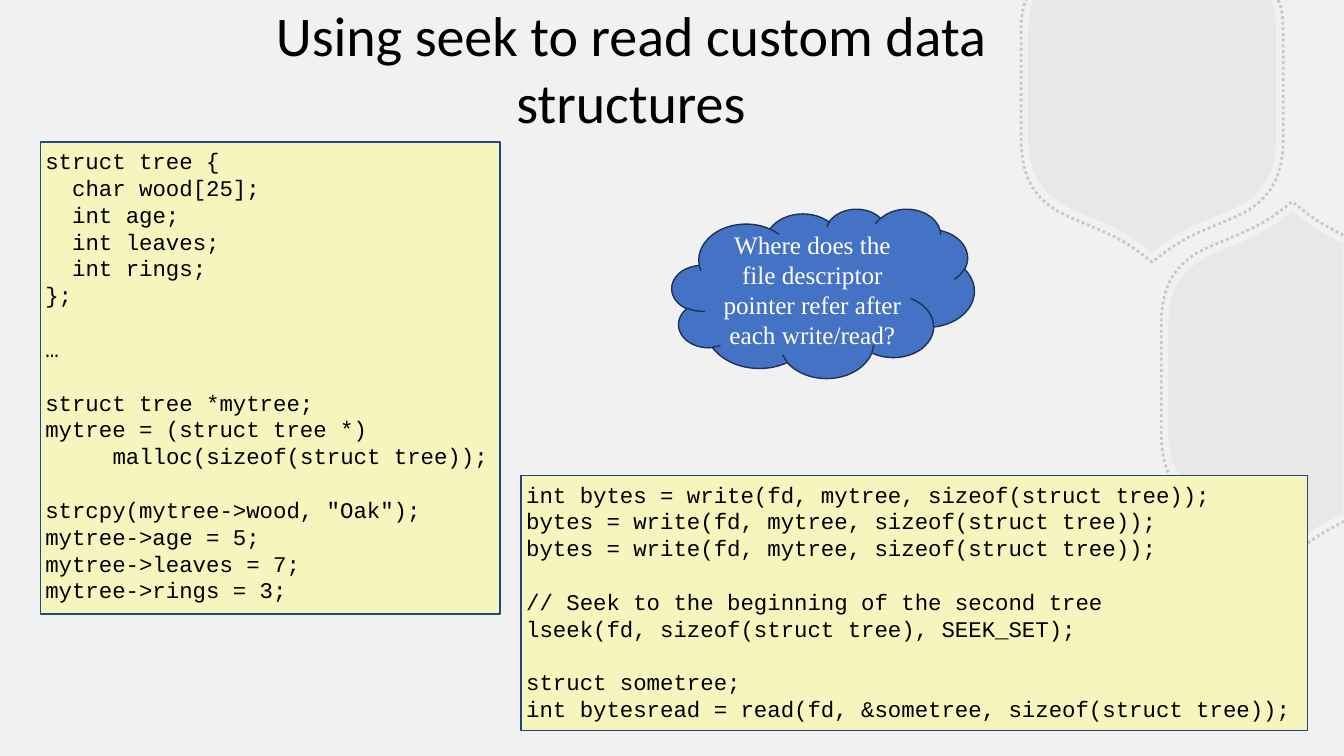
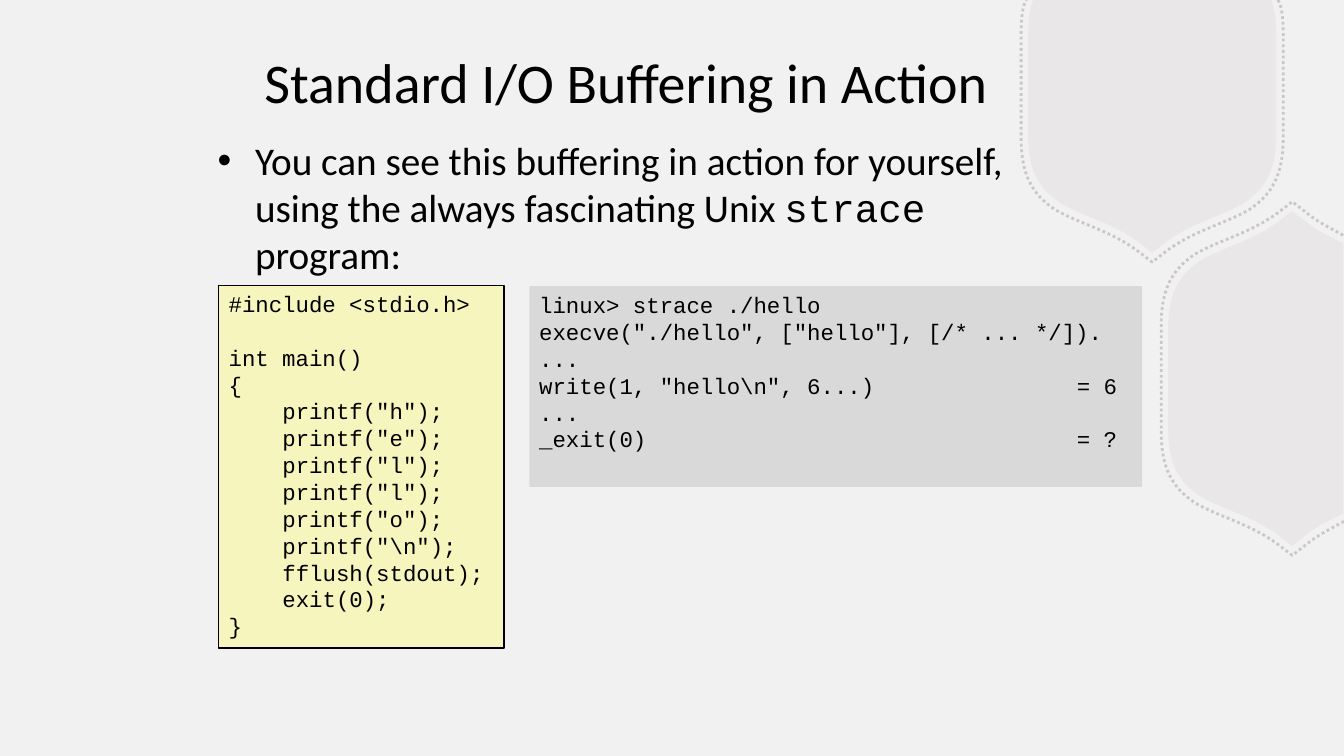
from lxml.etree import SubElement
from pptx import Presentation
from pptx.dml.color import RGBColor
from pptx.enum.dml import MSO_LINE
from pptx.enum.shapes import MSO_SHAPE
from pptx.enum.text import MSO_ANCHOR, MSO_AUTO_SIZE, PP_ALIGN
from pptx.oxml.ns import qn
from pptx.util import Inches, Pt

RECTANGLE, CLOUD = MSO_SHAPE.RECTANGLE, MSO_SHAPE.CLOUD
TOP, MIDDLE = MSO_ANCHOR.TOP, MSO_ANCHOR.MIDDLE
LEFT, CENTER = PP_ALIGN.LEFT, PP_ALIGN.CENTER
DOTTED = MSO_LINE.ROUND_DOT
NO_AUTOFIT = MSO_AUTO_SIZE.NONE

TITLE_ONLY, TITLE_AND_BODY = 5, 1  # layouts of the default template

# Half outlines of the hexagons in half widths, from the slide's edge on:
# one point makes a line, three points make a curve
UPPER_HALF = [
    [(0.96, -0.69)],
    [(0.99, -0.61), (1, -0.5), (1, -0.4)],
    [(1, 0.4)],
    [(1, 0.68), (0.92, 0.83), (0.74, 0.95)],
    [(0.55, 1.06), (0.31, 1.11), (0.09, 1.28)],
    [(0, 1.35)],
]
LOWER_HALF = [
    [(0.41, 1.09)],
    [(0.25, 1.17)],
    [(0.2, 1.2), (0.15, 1.23), (0.09, 1.28)],
    [(0, 1.35)],
    [(-0.09, 1.28)],
    [(-0.31, 1.11), (-0.55, 1.06), (-0.74, 0.95)],
    [(-0.92, 0.83), (-1, 0.68), (-1, 0.4)],
]
# Center in percent of the slide, half outline, signs of its mirror image
HEXAGONS = [
    ((85.73, 11.27), UPPER_HALF, (-1, 1)),
    ((96.15, 50.07), LOWER_HALF, (1, -1)),
]

TREE_CODE = """struct tree {
  char wood[25];
  int age;
  int leaves;
  int rings;
};

…

struct tree *mytree;
mytree = (struct tree *)
     malloc(sizeof(struct tree));

strcpy(mytree->wood, "Oak");
mytree->age = 5;
mytree->leaves = 7;
mytree->rings = 3;"""

SEEK_CODE = """int bytes = write(fd, mytree, sizeof(struct tree));
bytes = write(fd, mytree, sizeof(struct tree));
bytes = write(fd, mytree, sizeof(struct tree));

// Seek to the beginning of the second tree
lseek(fd, sizeof(struct tree), SEEK_SET);

struct sometree;
int bytesread = read(fd, &sometree, sizeof(struct tree));"""

HELLO_CODE = r"""#include <stdio.h>

int main()
{
    printf("h");
    printf("e");
    printf("l");
    printf("l");
    printf("o");
    printf("\n");
    fflush(stdout);
    exit(0);
}"""

# A bar marks the jump to the result column
STRACE_OUTPUT = r"""linux> strace ./hello
execve("./hello", ["hello"], [/* ... */]).
...
write(1, "hello\n", 6...)|= 6
...
_exit(0)|= ?"""


def color(hex_string):
    return RGBColor.from_string(hex_string)


def mirrored_outline(half, signs):
    """Points of the whole outline and the number of points per segment."""
    points = [point for segment in half for point in segment]
    lengths = [len(segment) for segment in half[1:]]
    mirror = [(x * signs[0], y * signs[1]) for x, y in reversed(points)]
    if mirror[0] == points[-1]:
        return points + mirror[1:], lengths + lengths[::-1]
    return points + mirror, lengths + [1] + lengths[::-1]


def bend(shape, lengths):
    """Join each three lines that stand for a curve into one curve."""
    lines = iter(list(shape.element.spPr.iter(qn("a:lnTo"))))
    for length in lengths:
        segment = [next(lines) for _ in range(length)]
        if length == 3:
            first = segment[0]
            outline = first.getparent()
            curve = SubElement(outline, qn("a:cubicBezTo"))
            first.addprevious(curve)
            for line in segment:
                curve.append(line[0])
                outline.remove(line)


class Deck:
    """Style of the presentation and the slide being filled.

    Places are (left, top, width, height) in percent of the slide's size.
    """

    HEADING_FONT, CODE_FONT, NOTE_FONT = "Calibri", "Courier New", "Times New Roman"
    TITLE_SIZE, BODY_SIZE, NOTE_SIZE, CODE_SIZE = 40, 28, 18, 16
    CODE_LINE, CODE_CHARACTER = 19.1, 9.6  # points
    RESULT_COLUMN = 40  # characters
    BULLET_INDENT = Inches(0.37)
    BACKGROUND, TEXT, HEXAGON = "F2F1F1", "000000", "B8B2B2"
    CODE_FILL, OUTPUT_FILL, CODE_BORDER = "F6F5BD", "D9D9D9", "1F497D"
    CLOUD_FILL, CLOUD_LINE, CLOUD_TEXT = "4472C4", "1E3256", "FFFFFF"
    FILLED_RADIUS, DOTTED_RADIUS = 9.23, 9.75  # half widths

    def __init__(self):
        self.presentation = Presentation()
        self.presentation.slide_height = Inches(7.5)
        self.presentation.slide_width = Inches(7.5) * 16 // 9
        self.slide = None
        fill = self.presentation.slide_master.background.fill
        fill.solid()
        fill.fore_color.rgb = color(self.BACKGROUND)

    def across(self, percent):
        return round(self.presentation.slide_width * percent / 100)

    def down(self, percent):
        return round(self.presentation.slide_height * percent / 100)

    def box(self, place):
        left, top, width, height = place
        return self.across(left), self.down(top), self.across(width), self.down(height)

    def add_slide(self, layout):
        self.slide = self.presentation.slides.add_slide(
            self.presentation.slide_layouts[layout])

    # Shared background
    def decorate_master(self):
        """Draw the hexagons and move them to the slide master."""
        tree = self.presentation.slide_master.element.cSld.spTree
        for radius, filled in ((self.FILLED_RADIUS, True), (self.DOTTED_RADIUS, False)):
            for center, half, signs in HEXAGONS:
                shape = self.hexagon(center, half, signs, radius, filled)
                shape.element.nvSpPr.cNvPr.set("id", str(100 + len(tree)))
                tree.append(shape.element)

    def hexagon(self, center, half, signs, radius, filled):
        outline, lengths = mirrored_outline(half, signs)
        unit = self.across(radius)
        points = [(min(self.across(center[0]) + round(x * unit), self.presentation.slide_width),
                   max(self.down(center[1]) + round(y * unit), 0)) for x, y in outline]
        builder = self.slide.shapes.build_freeform(*points[0])
        builder.add_line_segments(points[1:], close=filled)
        shape = builder.convert_to_shape()
        bend(shape, lengths)
        self.paint(shape, self.HEXAGON if filled else None,
                   None if filled else self.HEXAGON, 2)
        if not filled:
            shape.line.dash_style = DOTTED
        for shade in shape.element.spPr.iter(qn("a:srgbClr")):
            SubElement(shade, qn("a:alpha"), val="15000" if filled else "65000")
        return shape

    # Formatting
    def paint(self, shape, fill, line, line_width=1):
        shape.shadow.inherit = False
        if fill:
            shape.fill.solid()
            shape.fill.fore_color.rgb = color(fill)
        else:
            shape.fill.background()
        if line:
            shape.line.color.rgb = color(line)
            shape.line.width = Pt(line_width)
        else:
            shape.line.fill.background()

    def frame(self, shape, anchor, side_inset=0.1):
        frame = shape.text_frame
        frame.auto_size = NO_AUTOFIT
        frame.word_wrap = True
        frame.vertical_anchor = anchor
        frame.margin_left = frame.margin_right = Inches(side_inset)
        frame.margin_top = frame.margin_bottom = Inches(0.05)
        return frame

    def add_run(self, paragraph, text, font, size, text_color=TEXT):
        run = paragraph.add_run()
        run.text = text
        run.font.name = font
        run.font.size = Pt(size)
        run.font.color.rgb = color(text_color)

    # Elements
    def title(self, place, text):
        shape = self.slide.shapes.title
        shape.left, shape.top, shape.width, shape.height = self.box(place)
        paragraph = self.frame(shape, MIDDLE).paragraphs[0]
        paragraph.alignment = CENTER
        self.add_run(paragraph, text, self.HEADING_FONT, self.TITLE_SIZE)

    def body(self, place, runs):
        """One bulleted paragraph of (text, font) runs."""
        shape = self.slide.placeholders[1]
        shape.left, shape.top, shape.width, shape.height = self.box(place)
        paragraph = self.frame(shape, TOP).paragraphs[0]
        paragraph.space_before = Pt(7)
        properties = paragraph._p.get_or_add_pPr()
        properties.set("marL", str(self.BULLET_INDENT))
        properties.set("indent", str(-self.BULLET_INDENT))
        for text, font in runs:
            self.add_run(paragraph, text, font, self.BODY_SIZE)

    def code(self, place, text, fill=CODE_FILL, line=None, side_inset=0.1):
        """Listing whose indents, gaps and columns are paragraph settings."""
        shape = self.slide.shapes.add_shape(RECTANGLE, *self.box(place))
        self.paint(shape, fill, line)
        frame = self.frame(shape, TOP, side_inset)
        paragraph, gap = frame.paragraphs[0], 0
        for number, code_line in enumerate(text.splitlines()):
            if not code_line:
                gap += self.CODE_LINE
                continue
            if number:
                paragraph = frame.add_paragraph()
            paragraph.alignment = LEFT
            paragraph.space_before = Pt(gap)
            gap = 0
            words = code_line.lstrip()
            indent = len(code_line) - len(words)
            properties = paragraph._p.get_or_add_pPr()
            properties.set("marL", str(Pt(indent * self.CODE_CHARACTER)))
            if "|" in words:
                stops = SubElement(properties, qn("a:tabLst"))
                position = Pt(self.RESULT_COLUMN * self.CODE_CHARACTER)
                SubElement(stops, qn("a:tab"), pos=str(position), algn="l")
            self.add_run(paragraph, words.replace("|", "\t"), self.CODE_FONT, self.CODE_SIZE)

    def cloud(self, place, text):
        shape = self.slide.shapes.add_shape(CLOUD, *self.box(place))
        self.paint(shape, self.CLOUD_FILL, self.CLOUD_LINE)
        paragraph = self.frame(shape, MIDDLE).paragraphs[0]
        paragraph.alignment = CENTER
        self.add_run(paragraph, text, self.NOTE_FONT, self.NOTE_SIZE, self.CLOUD_TEXT)


def main():
    deck = Deck()

    # Slide 1: seeking in a file of structures
    deck.add_slide(TITLE_ONLY)
    deck.decorate_master()
    deck.title((15.83, 3.45, 62.25, 11.07), "Using seek to read custom data structures")
    deck.code((38.78, 62.93, 58.5, 33.73), SEEK_CODE, line=deck.CODE_BORDER, side_inset=0.05)
    deck.code((3, 18.8, 34.2, 62.4), TREE_CODE, line=deck.CODE_BORDER, side_inset=0.05)
    deck.cloud((50, 27.6, 22.5, 22.4),
               "Where does the file descriptor pointer refer after each write/read?")

    # Slide 2: buffering seen with strace
    deck.add_slide(TITLE_AND_BODY)
    deck.title((15.45, 1.2, 62.25, 19.07), "Standard I/O Buffering in Action")
    deck.body((15.45, 17.33, 64.8, 72.53), [
        ("You can see this buffering in action for yourself, "
         "using the always fascinating Unix ", deck.HEADING_FONT),
        ("strace", deck.CODE_FONT),
        (" program:", deck.HEADING_FONT),
    ])
    deck.code((39.38, 37.87, 45.6, 26.53), STRACE_OUTPUT, fill=deck.OUTPUT_FILL)
    deck.code((16.28, 37.73, 21.23, 48), HELLO_CODE, line=deck.TEXT)

    deck.presentation.save("out.pptx")


if __name__ == "__main__":
    main()
